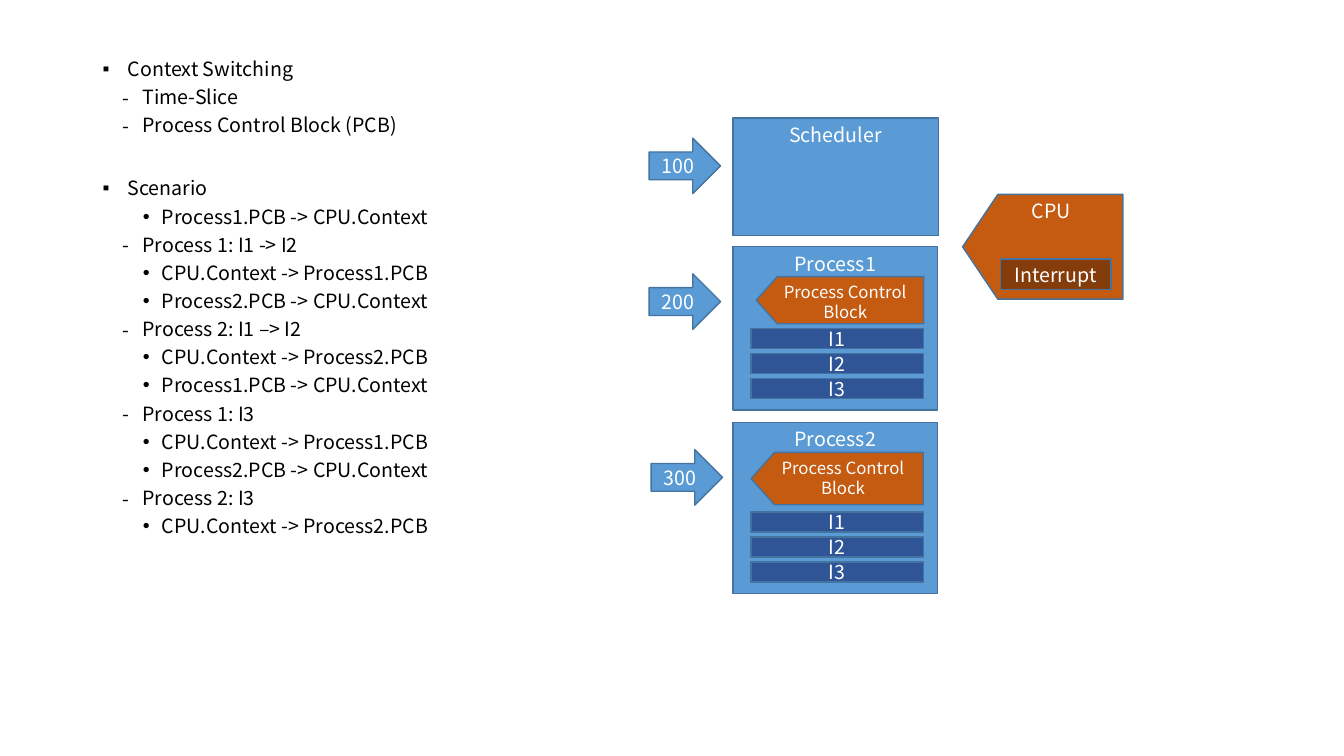
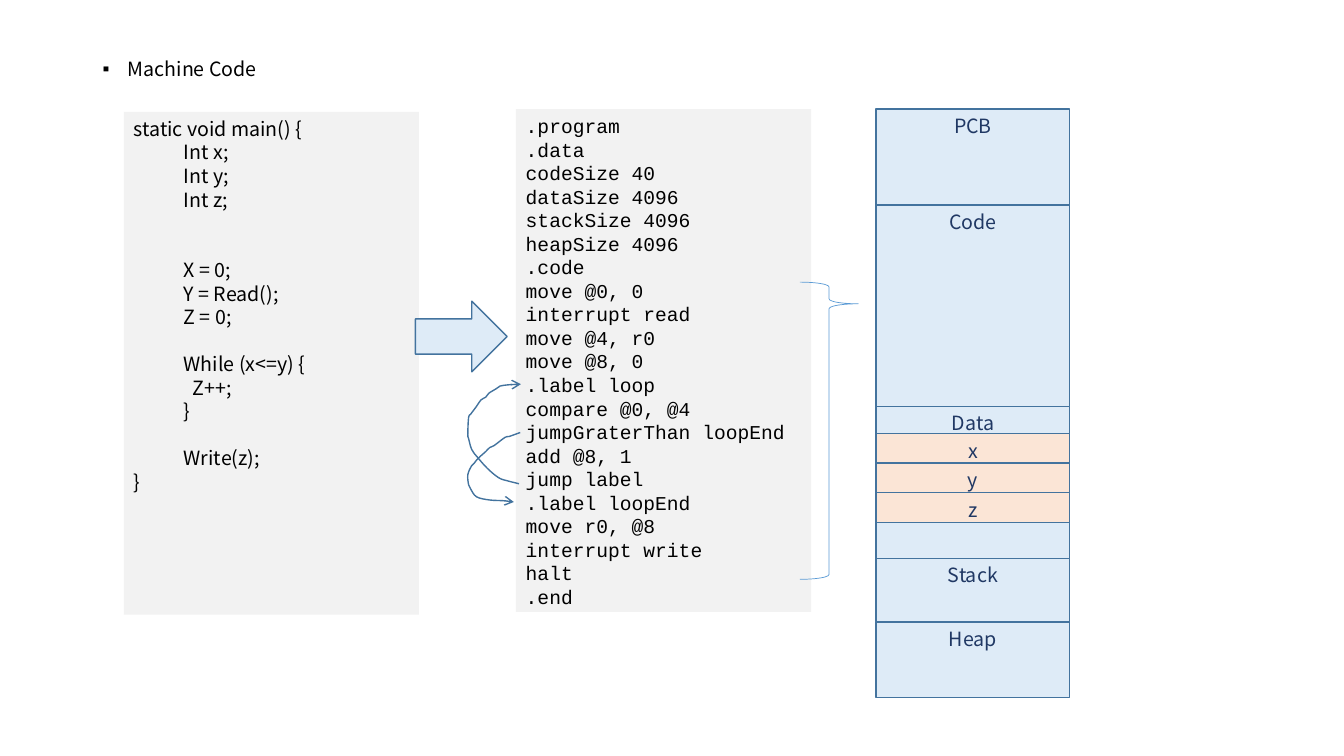
from dataclasses import dataclass

from lxml import etree
from pptx import Presentation
from pptx.dml.color import RGBColor
from pptx.enum.shapes import MSO_SHAPE
from pptx.enum.text import MSO_ANCHOR, PP_ALIGN
from pptx.oxml.ns import qn
from pptx.util import Cm, Pt

RECT, PLATE = MSO_SHAPE.RECTANGLE, MSO_SHAPE.PENTAGON
ARROW, BRACE = MSO_SHAPE.RIGHT_ARROW, MSO_SHAPE.RIGHT_BRACE
TOP, MIDDLE = MSO_ANCHOR.TOP, MSO_ANCHOR.MIDDLE
LEFT, CENTER = PP_ALIGN.LEFT, PP_ALIGN.CENTER

# Shared style
SANS, MONO, BULLET = "Noto Sans CJK KR", "Courier New", "Arial"
BLACK, WHITE, NAVY = "000000", "FFFFFF", "203864"
BLUE, DARK_BLUE, PALE_BLUE, OUTLINE = "5B9BD5", "2F5597", "DEEBF7", "43739E"
ORANGE, BROWN, PEACH, GREY = "C55A11", "843C0B", "FBE5D6", "F2F2F2"
SIZE = 14
LINE_RATIO = 1.2
LINE_PT = SIZE * LINE_RATIO

Point = tuple[float, float]


@dataclass
class Box:
    """A labelled shape; lengths in centimetres."""
    x: float
    y: float
    w: float
    h: float
    text: str = ""
    fill: str | None = BLUE
    kind: int = RECT
    line: str | None = OUTLINE
    line_pt: float = 1
    color: str = WHITE
    size: float = SIZE
    anchor: int = TOP
    adj: tuple[float, ...] = ()
    flip: bool = False


@dataclass
class Level:
    bullet: str
    font: str
    margin: float
    hang: float
    before: float


LEVELS = [Level("▪", BULLET, 0.63, 0.63, 10), Level("-", SANS, 1, 0.5, 5),
          Level("•", BULLET, 1.49, 0.48, 5)]

# Slide 1 content
SCENARIO = [
    (0, "Context Switching"), (1, "Time-Slice"),
    (1, "Process Control Block (PCB)"),
    (0, "Scenario"), (2, "Process1.PCB -> CPU.Context"),
    (1, "Process 1: I1 -> I2"),
    (2, "CPU.Context -> Process1.PCB"), (2, "Process2.PCB -> CPU.Context"),
    (1, "Process 2: I1 –> I2"),
    (2, "CPU.Context -> Process2.PCB"), (2, "Process1.PCB -> CPU.Context"),
    (1, "Process 1: I3"),
    (2, "CPU.Context -> Process1.PCB"), (2, "Process2.PCB -> CPU.Context"),
    (1, "Process 2: I3"), (2, "CPU.Context -> Process2.PCB"),
]
SECTION_GAP = 30

# Slide 2 content: a tab is one indent, an empty line is a gap
SOURCE_CODE = """static void main() {
\tInt x;
\tInt y;
\tInt z;


\tX = 0;
\tY = Read();
\tZ = 0;

\tWhile (x<=y) {
\t  Z++;
\t}

\tWrite(z);
}"""
MACHINE_CODE = """.program
.data
codeSize 40
dataSize 4096
stackSize 4096
heapSize 4096
.code
move @0, 0
interrupt read
move @4, r0
move @8, 0
.label loop
compare @0, @4
jumpGraterThan loopEnd
add @8, 1
jump label
.label loopEnd
move r0, @8
interrupt write
halt
.end"""
MEMORY = [("PCB", 2.42), ("Code", 5.07), ("Data", 3.83), ("Stack", 1.6),
          ("Heap", 1.91)]
LOOP_JUMP = [(13.08, 12.19), (12.8, 12.12), (12.57, 12.04), (12.29, 11.81),
             (12.04, 11.53), (11.89, 11.33), (11.81, 11.05), (11.79, 10.95),
             (11.81, 10.52), (11.86, 10.44), (12.01, 10.24), (12.12, 10.08),
             (12.24, 10.01), (12.32, 9.91), (12.5, 9.8), (12.6, 9.73),
             (12.8, 9.7), (13.13, 9.68)]
EXIT_JUMP = [(13.11, 10.9), (12.83, 11), (12.73, 11.02), (12.45, 11.23),
             (12.34, 11.28), (12.24, 11.38), (12.04, 11.56), (11.96, 11.66),
             (11.89, 11.73), (11.79, 11.96), (11.81, 12.22), (11.86, 12.32),
             (12.01, 12.52), (12.34, 12.6), (12.73, 12.62), (12.95, 12.65)]


def rgb(value: str) -> RGBColor:
    return RGBColor.from_string(value)


def write(p, text: str, color: str = BLACK, size: float = SIZE,
          font: str = SANS, **para) -> None:
    """Fill one paragraph; para holds paragraph attributes."""
    fmt = {"space_before": Pt(0), "line_spacing": Pt(size * LINE_RATIO)} | para
    for name, value in fmt.items():
        setattr(p, name, value)
    r = p.add_run()
    r.text = text
    for name, value in {"name": font, "size": Pt(size)}.items():
        setattr(r.font, name, value)
    r.font.color.rgb = rgb(color)


def set_line(sp, color: str | None, width: float) -> None:
    sp.shadow.inherit = False
    if color is None:
        sp.line.fill.background()
        return
    sp.line.color.rgb = rgb(color)
    sp.line.width = Pt(width)


def add_box(slide, box: Box):
    sp = slide.shapes.add_shape(box.kind, Cm(box.x), Cm(box.y), Cm(box.w),
                                Cm(box.h))
    if box.fill is None:
        sp.fill.background()
    else:
        sp.fill.solid()
        sp.fill.fore_color.rgb = rgb(box.fill)
    set_line(sp, box.line, box.line_pt)
    for i, value in enumerate(box.adj):
        sp.adjustments[i] = value
    if box.flip:
        sp._element.spPr.get_or_add_xfrm().set("flipH", "1")
    tf = sp.text_frame
    tf.word_wrap = True
    tf.vertical_anchor = box.anchor
    if box.text:
        write(tf.paragraphs[0], box.text, box.color, box.size,
              alignment=CENTER)
    return sp


def add_outline(slide, items: list[tuple[int, str]]) -> None:
    """Bulleted text at the left of the slide."""
    tf = slide.shapes.add_textbox(Cm(2.34), Cm(1.37), Cm(13.61),
                                  Cm(15.8)).text_frame
    tf.word_wrap = True
    for i, (depth, text) in enumerate(items):
        level = LEVELS[depth]
        p = tf.add_paragraph() if i else tf.paragraphs[0]
        pPr = p._p.get_or_add_pPr()
        pPr.set("marL", str(Cm(level.margin)))
        pPr.set("indent", str(-Cm(level.hang)))
        etree.SubElement(pPr, qn("a:buFont")).set("typeface", level.font)
        etree.SubElement(pPr, qn("a:buChar")).set("char", level.bullet)
        before = 0 if i == 0 else level.before if depth else SECTION_GAP
        write(p, text, space_before=Pt(before),
              line_spacing=Pt(LINE_PT * 0.9))


def add_code(slide, x: float, y: float, code: str, font: str) -> None:
    """Grey panel with one paragraph per code line."""
    tf = add_box(slide, Box(x, y, 7.44, 12.67, fill=GREY,
                            line=None)).text_frame
    p, gap = tf.paragraphs[0], 0
    for line in code.split("\n"):
        if not line:
            gap += 1
            continue
        p = tf.add_paragraph() if p.runs else p
        if line.startswith("\t"):
            p._p.get_or_add_pPr().set("marL", str(Cm(1.26)))
        write(p, line.lstrip("\t"), font=font, alignment=LEFT,
              space_before=Pt(gap * LINE_PT))
        gap = 0


def bezier_points(points: list[Point]) -> list[Point]:
    """Two controls and an end for each stretch of a smooth curve."""
    ends = [points[0], *points, points[-1]]
    result = []
    for a, b, c, d in zip(ends, ends[1:], ends[2:], ends[3:]):
        result += [(b[0] + (c[0] - a[0]) / 6, b[1] + (c[1] - a[1]) / 6),
                   (c[0] - (d[0] - b[0]) / 6, c[1] - (d[1] - b[1]) / 6), c]
    return result


def add_curved_arrow(slide, points: list[Point]) -> None:
    builder = slide.shapes.build_freeform(*map(Cm, points[0]))
    builder.add_line_segments([(Cm(x), Cm(y))
                               for x, y in bezier_points(points)], close=False)
    sp = builder.convert_to_shape()
    # Each three line segments become one cubic curve
    segments = list(sp._element.iter(qn("a:lnTo")))
    outline = segments[0].getparent()
    for i in range(0, len(segments), 3):
        curve = etree.SubElement(outline, qn("a:cubicBezTo"))
        for segment in segments[i:i + 3]:
            curve.append(segment[0])
            outline.remove(segment)
    sp.fill.background()
    set_line(sp, OUTLINE, 1)
    ln = sp.line._get_or_add_ln()
    etree.SubElement(ln, qn("a:tailEnd")).set("type", "arrow")


def add_process(slide, frame: Box, block: Box, rows_top: float) -> None:
    """Process frame with its control block and instructions."""
    add_box(slide, frame)
    add_box(slide, block)
    for i in range(3):
        add_box(slide, Box(18.93, rows_top + i * 0.63, 4.34, 0.51,
                           f"I{i + 1}", DARK_BLUE, anchor=MIDDLE))


def control_block(x: float, y: float, w: float, h: float) -> Box:
    return Box(x, y, w, h, "Process Control Block", ORANGE, PLATE, size=12,
               adj=(0.445,), flip=True)


def build_context_switching(slide) -> None:
    add_outline(slide, SCENARIO)
    # CPU and scheduler
    add_box(slide, Box(24.26, 4.9, 4.04, 2.64, "CPU", ORANGE, PLATE,
                       adj=(0.336,), flip=True))
    add_box(slide, Box(25.21, 6.53, 2.79, 0.76, "Interrupt", BROWN,
                       anchor=MIDDLE))
    add_box(slide, Box(18.47, 2.97, 5.18, 2.97, "Scheduler"))
    # Processes
    add_process(slide, Box(18.47, 6.22, 5.16, 4.11, "Process1"),
                control_block(19.06, 6.97, 4.22, 1.19), 8.28)
    add_process(slide, Box(18.47, 10.64, 5.16, 4.32, "Process2"),
                control_block(18.93, 11.4, 4.34, 1.32), 12.9)
    # Address arrows
    for x, y, label in [(16.36, 3.48, "100"), (16.36, 6.9, "200"),
                        (16.41, 11.33, "300")]:
        add_box(slide, Box(x, y, 1.8, 1.4, label, kind=ARROW, anchor=MIDDLE))


def build_machine_code(slide) -> None:
    add_outline(slide, [(0, "Machine Code")])
    # Code panels
    add_code(slide, 13, 2.75, MACHINE_CODE, MONO)
    add_code(slide, 3.12, 2.82, SOURCE_CODE, SANS)
    add_box(slide, Box(10.47, 7.59, 2.31, 1.78, fill=PALE_BLUE, kind=ARROW))
    # Memory column and its variables
    x, y, w = 22.08, 2.75, 4.88
    for label, h in MEMORY:
        add_box(slide, Box(x, y, w, h, label, PALE_BLUE, color=NAVY))
        y += h
    for i, label in enumerate("xyz"):
        add_box(slide, Box(x, 10.93 + i * 0.74, w, 0.76, label, PEACH,
                           color=NAVY))
    # Brace and jumps
    add_box(slide, Box(20.16, 7.11, 1.47, 7.49, fill=None, kind=BRACE,
                       line=BLUE, line_pt=0.5, adj=(0.083, 0.073)))
    for points in (LOOP_JUMP, EXIT_JUMP):
        add_curved_arrow(slide, points)


def main() -> None:
    prs = Presentation()
    prs.slide_width, prs.slide_height = Cm(33.87), Cm(19.05)
    for build in (build_context_switching, build_machine_code):
        build(prs.slides.add_slide(prs.slide_layouts[6]))
    prs.save("out.pptx")


if __name__ == "__main__":
    main()
